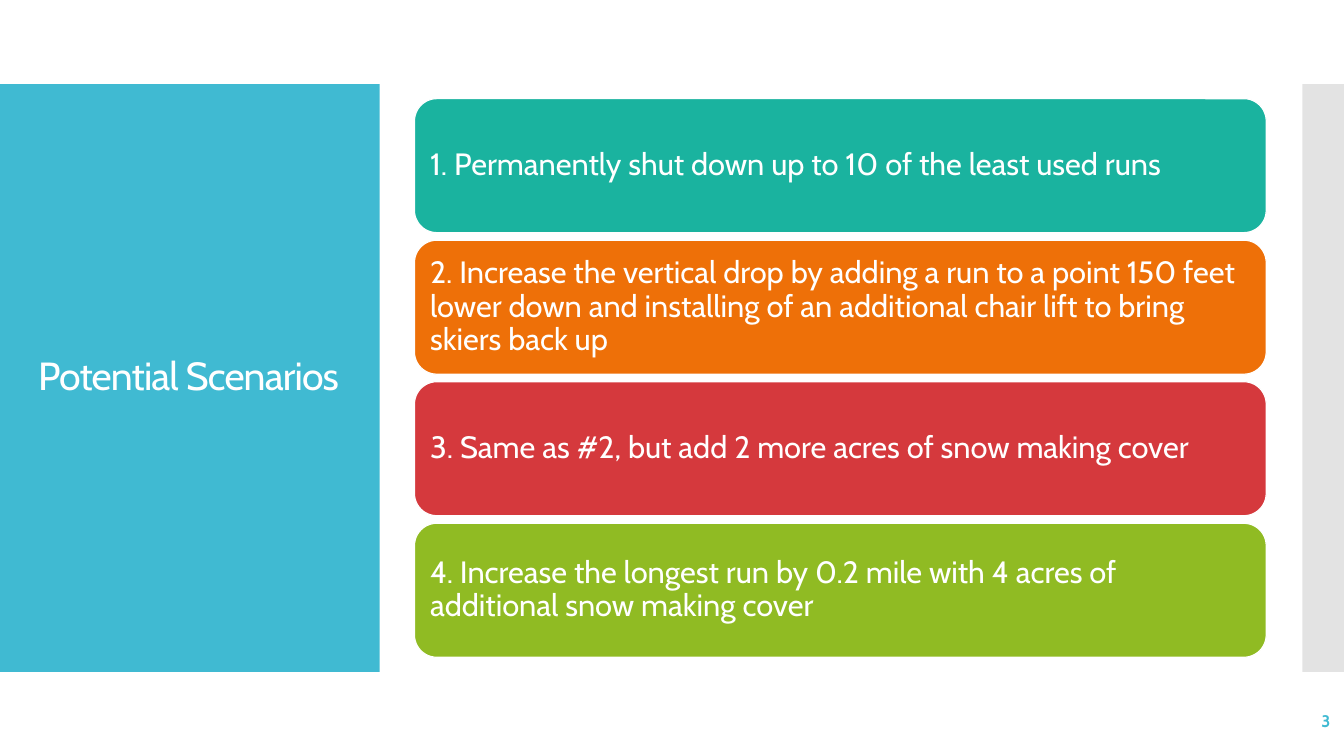
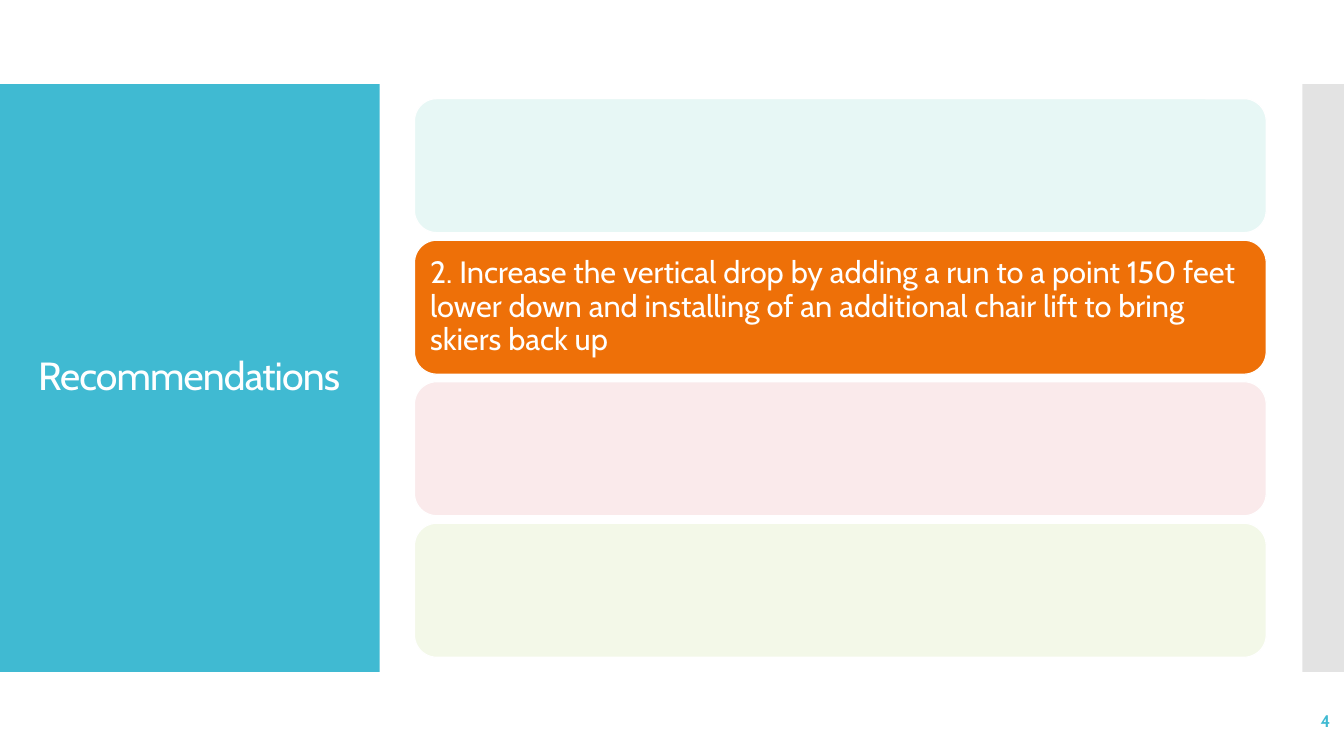
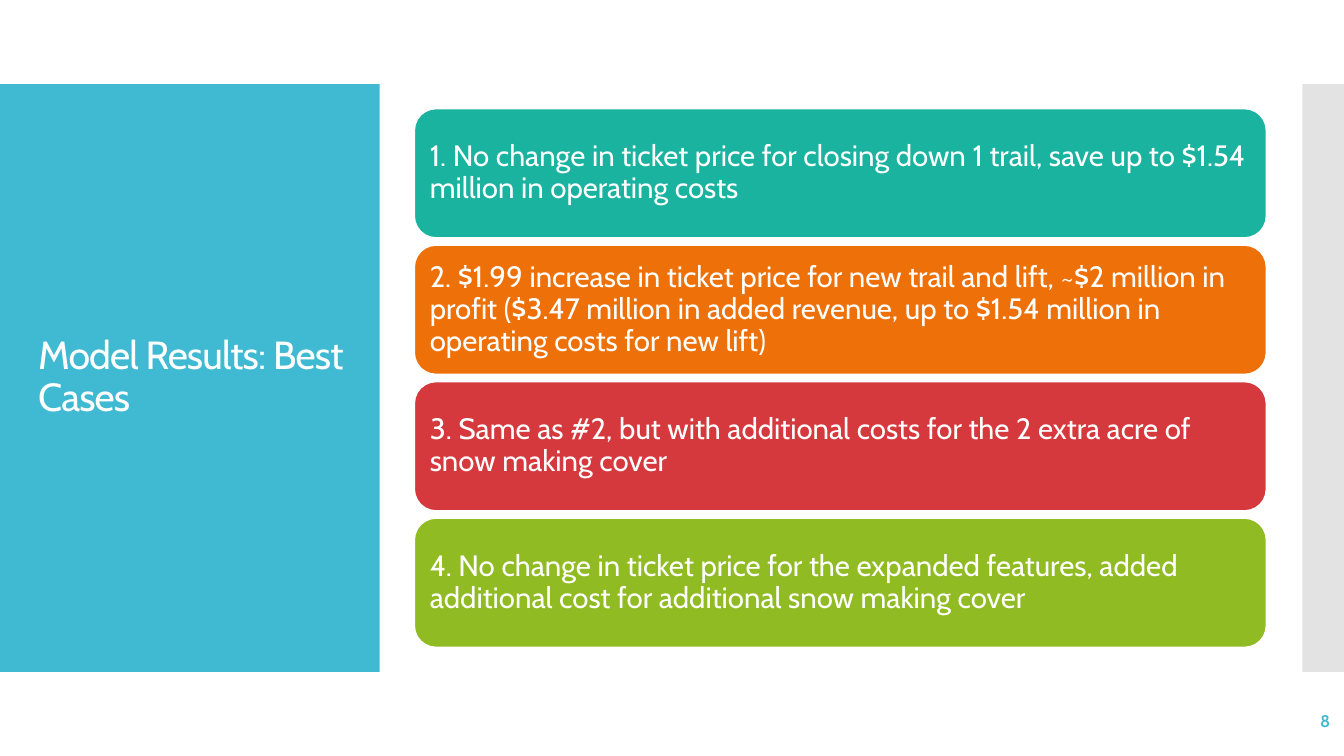
from pptx import Presentation
from pptx import util as u
from pptx.dml.color import RGBColor
from pptx.enum import shapes, text
from pptx.oxml.ns import qn
from lxml import etree

COLS, ROWS = 32, 18
FONT = "Cabin"
WHITE, BLUE, GREY = "FFFFFF", "40BAD2", "C8C8C8"
HUES = ["1AB39F", "EE7008", "D5393D", "90BB23"]
RECT = shapes.MSO_SHAPE.RECTANGLE
ROUND = shapes.MSO_SHAPE.ROUNDED_RECTANGLE
LEFT, RIGHT = text.PP_ALIGN.LEFT, text.PP_ALIGN.RIGHT

PLANS = [
    "1. Permanently shut down up to 10 of the least used runs",
    "2. Increase the vertical drop by adding a run to a point 150 feet lower down "
    "and installing of an additional chair lift to bring skiers back up",
    "3. Same as #2, but add 2 more acres of snow making cover",
    "4. Increase the longest run by 0.2 mile with 4 acres of additional snow making cover",
]
RESULTS = [
    "1. No change in ticket price for closing down 1 trail, save up to $1.54 million "
    "in operating costs",
    "2. $1.99 increase in ticket price for new trail and lift, ~$2 million in profit "
    "($3.47 million in added revenue, up to $1.54 million in operating costs for new lift)",
    "3. Same as #2, but with additional costs for the 2 extra acre of snow making cover",
    "4. No change in ticket price for the expanded features, added additional cost "
    "for additional snow making cover",
]


def paint(part, hue, alpha=100):
    part.solid()
    part.fore_color.rgb = RGBColor.from_string(hue)
    if alpha < 100:
        tint = part._xPr.find(".//" + qn("a:srgbClr"))
        etree.SubElement(tint, qn("a:alpha"), val=str(alpha * 1000))


def write(shape, words, size, hue=WHITE, bold=False, align=LEFT, lead=0.9, track=0, inset=None):
    frame = shape.text_frame
    frame.word_wrap = True
    frame.vertical_anchor = text.MSO_ANCHOR.MIDDLE
    if inset is not None:
        frame.margin_left = frame.margin_right = u.Inches(inset)
        frame.margin_top = frame.margin_bottom = u.Inches(inset)
    para = frame.paragraphs[0]
    para.alignment = align
    para.line_spacing = lead
    run = para.add_run()
    run.text = words
    run.font.name = FONT
    run.font.size = u.Pt(size)
    run.font.bold = bold
    paint(run.font.fill, hue)
    if track:
        run.font._element.set("spc", str(round(track * 100)))


class Deck:
    def __init__(self):
        self.show = Presentation()
        self.show.slide_width = u.Inches(13.333)
        self.show.slide_height = u.Inches(7.5)
        self.slide = None

    def area(self, col, row, wide, high):
        x, y = self.show.slide_width / COLS, self.show.slide_height / ROWS
        return [round(n) for n in (col * x, row * y, wide * x, high * y)]

    def block(self, form, place, hue, alpha=100, edge=None):
        shape = self.slide.shapes.add_shape(form, *self.area(*place))
        shape.shadow.inherit = False
        paint(shape.fill, hue, alpha)
        if edge:
            paint(shape.line.fill, edge)
            shape.line.width = u.Pt(0.85)
        else:
            shape.line.fill.background()
        return shape

    def label(self, place, words, size, **style):
        box = self.slide.shapes.add_textbox(*self.area(*place))
        write(box, words, size, **style)

    def page(self, title, number):
        self.slide = self.show.slides.add_slide(self.show.slide_layouts[6])
        self.block(RECT, (0, 2, 9.04, 14), BLUE)
        self.block(RECT, (31.01, 2, 0.99, 14), GREY, alpha=50)
        self.label((0.67, 3, 7.73, 12), title, 28, track=-0.6)
        self.label((27.91, 16.68, 4, 0.96), str(number), 12,
                   hue=BLUE, bold=True, align=RIGHT, lead=1)

    def stack(self, items, high, size, focus=None, gap=0.18):
        top = (ROWS - len(items) * high - (len(items) - 1) * gap) / 2
        for i, (words, hue) in enumerate(zip(items, HUES)):
            lit = focus in (None, i)
            place = (9.87, top + i * (high + gap), 20.28, high)
            card = self.block(ROUND, place, hue, 100 if lit else 10, edge=WHITE)
            if lit:
                write(card, words, size, inset=0.09)


def main():
    deck = Deck()
    deck.page("Potential Scenarios", 3)
    deck.stack(PLANS, 3.19, 22)
    deck.page("Recommendations", 4)
    deck.stack(PLANS, 3.19, 22, focus=1)
    deck.page("Model Results: Best Cases", 8)
    deck.stack(RESULTS, 3.07, 21)
    deck.show.save("out.pptx")


if __name__ == "__main__":
    main()
